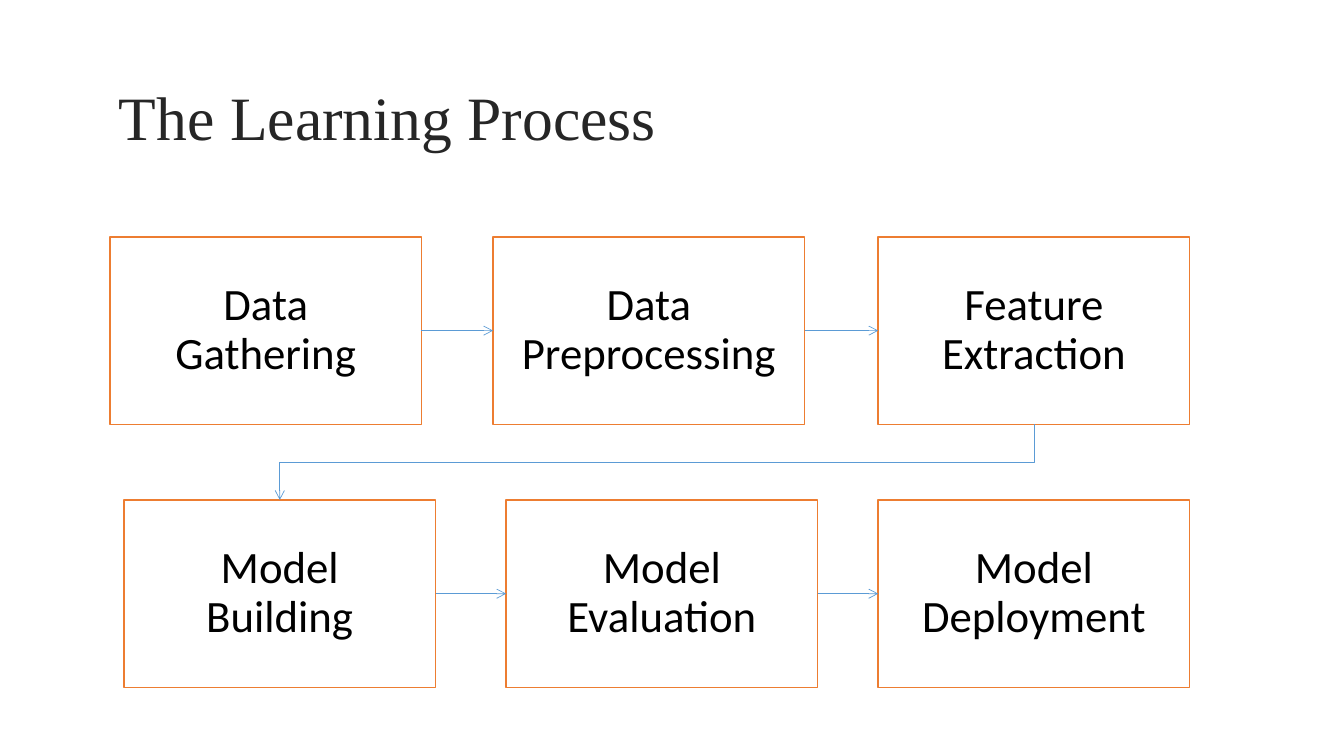
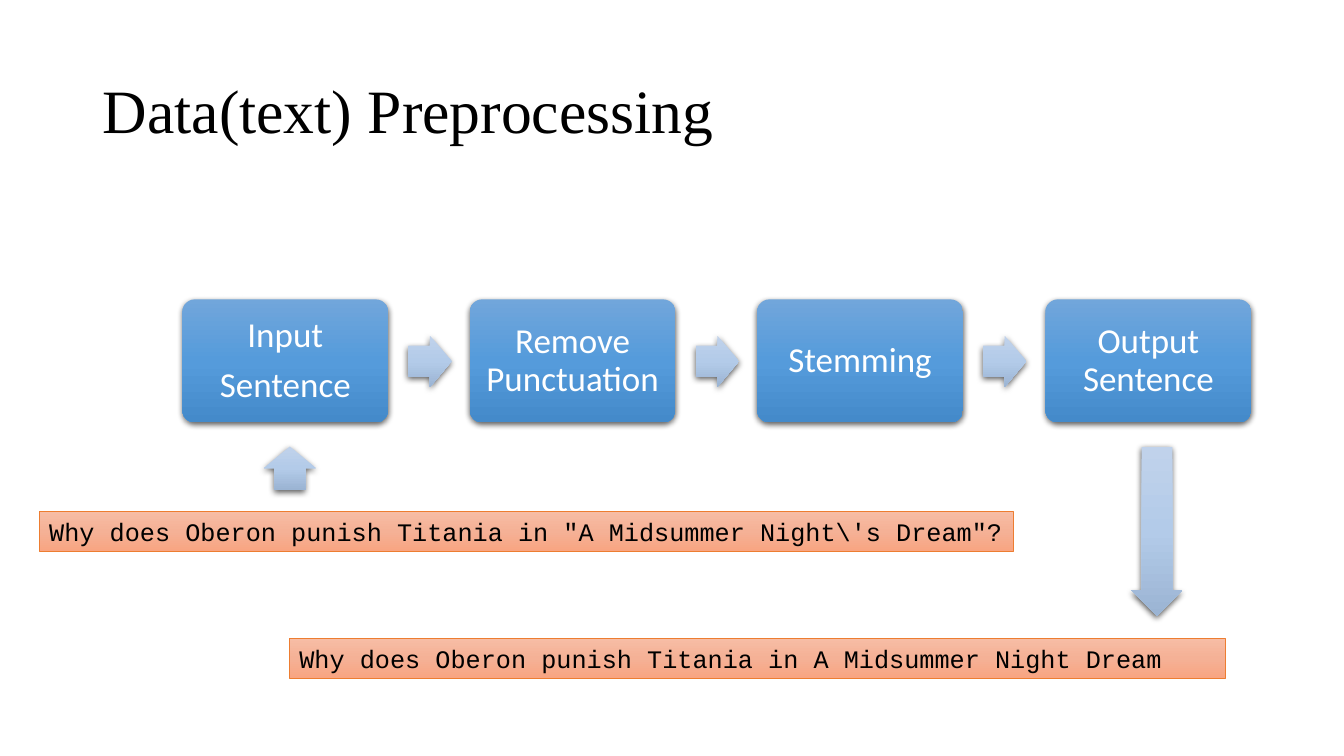
"""Build two slides about the learning process and text preprocessing."""
from copy import deepcopy

from lxml.etree import SubElement
from pptx import Presentation
from pptx.dml.color import RGBColor
from pptx.enum.shapes import MSO_CONNECTOR, MSO_SHAPE
from pptx.enum.text import MSO_ANCHOR, MSO_AUTO_SIZE, PP_ALIGN
from pptx.oxml.ns import qn
from pptx.util import Pt

PX = 9144
COLORS = {
    "white": "FFFFFF",
    "black": "000000",
    "charcoal": "262626",
    "orange": "ED7D31",
    "blue": "5B9BD5",
}
GRADIENTS = {
    "step": ("71A6DB", "559BDB", "448ACA"),
    "arrow": ("C0D2EB", "B3CBE9", "9BB4D3"),
    "sentence": ("F7BDA5", "F5B196", "F8A582"),
}
TITLE = {"name": "Times New Roman", "size": Pt(44)}
STAGE = {"name": "Calibri", "size": Pt(32)}
STEP = {"name": "Calibri", "size": Pt(25)}
SENTENCE = {"name": "Courier New", "size": Pt(18)}
CENTERED = {"alignment": PP_ALIGN.CENTER, "line_spacing": 0.9}
LEFT = {"alignment": PP_ALIGN.LEFT, "line_spacing": 1.0}


def px(*lengths):
    """Turn px lengths into EMU."""
    return [length * PX for length in lengths]


def rgb(name):
    """Look up a named colour."""
    return RGBColor.from_string(COLORS[name])


def apply(target, values):
    """Set each attribute named in a dict of format values."""
    for name, value in values.items():
        setattr(target, name, value)


def write(shape, lines, font, color, para_format, margins=(10, 5)):
    """Fill a shape with formatted paragraphs."""
    side, end = px(*margins)
    frame = shape.text_frame
    apply(frame, {
        "text": "\n".join(lines), "word_wrap": True,
        "auto_size": MSO_AUTO_SIZE.NONE, "vertical_anchor": MSO_ANCHOR.MIDDLE,
        "margin_left": side, "margin_right": side,
        "margin_top": end, "margin_bottom": end,
    })
    for para in frame.paragraphs:
        apply(para, para_format)
        apply(para.font, font)
        para.font.color.rgb = rgb(color)
    for para in frame.paragraphs[:-1]:
        para.space_after = Pt(8.5)


def add_page(deck, title, area, color, line_spacing):
    """Add a slide with a formatted title."""
    page = deck.slides.add_slide(deck.slide_layouts[5])
    shape = page.shapes.title
    apply(shape, dict(zip(("left", "top", "width", "height"), px(*area))))
    write(shape, [title], TITLE, color, {**LEFT, "line_spacing": line_spacing})
    return page


def add_box(page, kind, area, line_width=0):
    """Add a shape without shadow, outlined in orange if a width is given."""
    box = page.shapes.add_shape(kind, *px(*area))
    box.shadow.inherit = False
    if line_width:
        box.line.color.rgb = rgb("orange")
        box.line.width = Pt(line_width)
    else:
        box.line.fill.background()
    return box


def shade(box, gradient):
    """Fill a shape with a three-stop gradient from top to bottom."""
    box.fill.gradient()
    box.fill.gradient_angle = 270
    stops = box._element.spPr.find(qn("a:gradFill")).find(qn("a:gsLst"))
    stops.insert(1, deepcopy(stops[0]))
    for index, (stop, color) in enumerate(zip(box.fill.gradient_stops, GRADIENTS[gradient])):
        stop.color.rgb = RGBColor.from_string(color)
        stop.position = index / 2


def drop_shadow(box):
    """Give a shape a soft shadow below it."""
    effects = box._element.spPr.find(qn("a:effectLst"))
    shadow = SubElement(effects, qn("a:outerShdw"), blurRad="57150", dist="19050",
                        dir="5400000", algn="ctr", rotWithShape="0")
    color = SubElement(shadow, qn("a:srgbClr"), val=COLORS["black"])
    SubElement(color, qn("a:alpha"), val="63000")


def add_stage(page, left, top, text):
    """Add an outlined stage of the learning process."""
    box = add_box(page, MSO_SHAPE.RECTANGLE, (left, top, 309, 186), 1)
    box.fill.solid()
    box.fill.fore_color.rgb = rgb("white")
    write(box, [text], STAGE, "black", CENTERED, (25, 25))
    return box


def add_arrow_line(page, kind, ends):
    """Add a thin blue connector with an open arrowhead."""
    arrow = page.shapes.add_connector(kind, *ends)
    arrow.line.color.rgb = rgb("blue")
    arrow.line.width = Pt(0.5)
    SubElement(arrow.line._get_or_add_ln(), qn("a:tailEnd"), type="arrow")
    SubElement(arrow._element.spPr, qn("a:effectLst"))
    return arrow


def join_row(page, stages):
    """Join neighbouring stages with straight arrows."""
    for start, end in zip(stages, stages[1:]):
        arrow = add_arrow_line(page, MSO_CONNECTOR.STRAIGHT, (0, 0, 0, 0))
        arrow.begin_connect(start, 3)
        arrow.end_connect(end, 1)


def join_rows(page, start, end):
    """Lead from the bottom of one stage down and left to the top of another."""
    start_x, end_x = (box.left + box.width // 2 for box in (start, end))
    start_y, end_y = start.top + start.height, end.top
    middle_x, middle_y = (start_x + end_x) // 2, (start_y + end_y) // 2
    half_drop, half_run = (end_y - start_y) // 2, (start_x - end_x) // 2
    ends = (middle_x - half_drop, middle_y - half_run,
            middle_x + half_drop, middle_y + half_run)
    arrow = add_arrow_line(page, MSO_CONNECTOR.ELBOW, ends)
    arrow._element.spPr.get_or_add_xfrm().rot = 90


def add_step(page, left, lines):
    """Add a rounded preprocessing step."""
    box = add_box(page, MSO_SHAPE.ROUNDED_RECTANGLE, (left, 297, 204, 122))
    box.adjustments[0] = 0.1
    shade(box, "step")
    drop_shadow(box)
    write(box, lines, STEP, "white", CENTERED, (13, 13))


def add_block_arrow(page, kind, area):
    """Add a pale block arrow."""
    arrow = add_box(page, kind, area)
    arrow.adjustments[0] = 0.6
    arrow.adjustments[1] = 0.5
    shade(arrow, "arrow")
    drop_shadow(arrow)


def add_sentence(page, area, text):
    """Add a sample sentence on an orange band."""
    band = add_box(page, MSO_SHAPE.RECTANGLE, area, 0.5)
    shade(band, "sentence")
    write(band, [text], SENTENCE, "black", LEFT)


def build_learning_process(deck):
    """Build the slide with two rows of stages."""
    page = add_page(deck, "The Learning Process", (108, 73, 879, 84), "charcoal", 1.0)
    rows = (
        (235, ((109, "Data Gathering"), (489, "Data Preprocessing"),
               (871, "Feature Extraction"))),
        (496, ((123, "Model Building"), (502, "Model Evaluation"),
               (871, "Model Deployment"))),
    )
    upper, lower = [[add_stage(page, left, top, text) for left, text in row]
                    for top, row in rows]
    join_row(page, upper)
    join_row(page, lower)
    join_rows(page, upper[-1], lower[0])


def build_preprocessing(deck):
    """Build the slide with the preprocessing steps and sample sentences."""
    page = add_page(deck, "Data(text) Preprocessing", (92, 40, 1150, 145), "black", 0.9)
    steps = (["Input", "Sentence"], ["Remove Punctuation"], ["Stemming"],
             ["Output Sentence"])
    for index, lines in enumerate(steps):
        left = 181 + 856 * index // 3
        add_step(page, left, lines)
        if index < len(steps) - 1:
            add_block_arrow(page, MSO_SHAPE.RIGHT_ARROW, (left + 224, 333, 43, 51))
    add_sentence(page, (39, 507, 966, 40),
                 "Why does Oberon punish Titania in \"A Midsummer Night\\'s Dream\"?")
    add_sentence(page, (287, 633, 928, 40),
                 "Why does Oberon punish Titania in A Midsummer Night Dream")
    add_block_arrow(page, MSO_SHAPE.UP_ARROW, (262, 443, 51, 43))
    add_block_arrow(page, MSO_SHAPE.DOWN_ARROW, (1122, 443, 51, 168))


def main():
    """Build and save the deck."""
    deck = Presentation()
    deck.slide_width, deck.slide_height = px(1333, 750)
    build_learning_process(deck)
    build_preprocessing(deck)
    deck.save("out.pptx")


if __name__ == "__main__":
    main()
